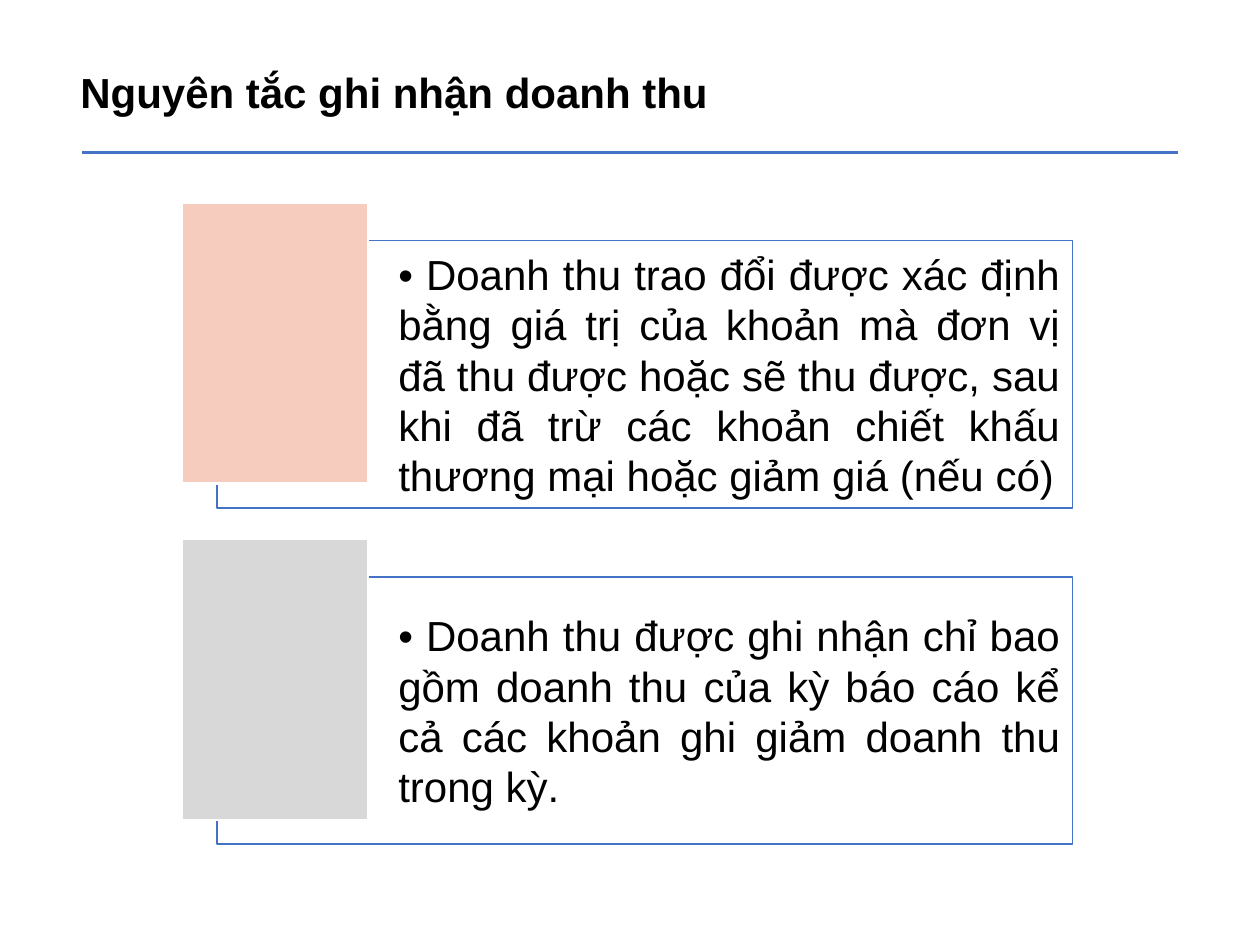
import dataclasses

import pptx
import pptx.dml.color
import pptx.enum.shapes
import pptx.enum.text
import pptx.oxml
import pptx.oxml.ns
import pptx.util
from pptx.util import Cm


@dataclasses.dataclass(frozen=True)
class Theme:
    font: str = "Arial"
    size: int = 24
    ink: str = "000000"
    paper: str = "FFFFFF"
    accent: str = "4472C4"
    peach: str = "F6CCBE"
    grey: str = "D8D8D8"
    rule_width: float = 1.5
    frame_width: float = 1


THEME = Theme()


def color(code):
    return pptx.dml.color.RGBColor.from_string(code)


def style_text(para, bold=False):
    for span in para.runs:
        span.font.name = THEME.font
        span.font.size = pptx.util.Pt(THEME.size)
        span.font.bold = bold
        span.font.color.rgb = color(THEME.ink)


def set_line(line, code, width):
    line.color.rgb = color(code)
    line.width = pptx.util.Pt(width)


def add_rectangle(page, left, top, width, height, fill, line, line_width):
    box = page.shapes.add_shape(
        pptx.enum.shapes.MSO_SHAPE.RECTANGLE, left, top, width, height)
    box.shadow.inherit = False
    box.fill.solid()
    box.fill.fore_color.rgb = color(fill)
    set_line(box.line, line, line_width)
    return box


def set_opacity(box, percent):
    fill = box.fill._xPr.find(pptx.oxml.ns.qn("a:solidFill"))
    alpha = pptx.oxml.parse_xml(
        f'<a:alpha {pptx.oxml.ns.nsdecls("a")} val="{percent * 1000}"/>')
    fill[0].append(alpha)


def add_heading(page, left, top, width, text):
    """Place the title and the rule below it; the rule spans the width."""
    box = page.shapes.add_textbox(left - Cm(0.28), top, Cm(13.51), Cm(1.27))
    frame = box.text_frame
    frame.word_wrap = True
    frame.auto_size = pptx.enum.text.MSO_AUTO_SIZE.SHAPE_TO_FIT_TEXT
    frame.text = text
    style_text(frame.paragraphs[0], bold=True)

    height = top + Cm(1.85)
    rule = page.shapes.add_connector(
        pptx.enum.shapes.MSO_CONNECTOR.STRAIGHT,
        left, height, left + width, height)
    set_line(rule.line, THEME.accent, THEME.rule_width)
    rule._element.spPr.append(pptx.oxml.parse_xml(
        f'<a:effectLst {pptx.oxml.ns.nsdecls("a")}/>'))


def add_principle(page, left, top, width, height, text, tile_color):
    """Place a framed statement with a colour tile over its upper left corner."""
    inset_x, inset_y = Cm(0.71), Cm(0.76)
    panel = add_rectangle(
        page, left + inset_x, top + inset_y, width - inset_x, height - inset_y,
        THEME.paper, THEME.accent, THEME.frame_width)
    set_opacity(panel, 40)

    frame = panel.text_frame
    frame.word_wrap = True
    frame.vertical_anchor = pptx.enum.text.MSO_ANCHOR.MIDDLE
    frame.margin_left = Cm(3.66)
    frame.margin_right = frame.margin_top = frame.margin_bottom = Cm(0.25)
    frame.text = text
    para = frame.paragraphs[0]
    para.alignment = pptx.enum.text.PP_ALIGN.JUSTIFY
    para.space_after = pptx.util.Pt(0.35 * THEME.size)
    style_text(para)

    add_rectangle(page, left, top, Cm(3.76), Cm(5.66),
                  tile_color, THEME.paper, THEME.rule_width)


def main():
    deck = pptx.Presentation()
    deck.slide_width, deck.slide_height = Cm(25.4), Cm(19.05)
    page = deck.slides.add_slide(deck.slide_layouts[6])

    add_heading(page, Cm(1.65), Cm(1.22), Cm(22.1),
                "Nguyên tắc ghi nhận doanh thu")

    principles = [
        ("• Doanh thu trao đổi được xác định bằng giá trị của khoản mà đơn vị "
         "đã thu được hoặc sẽ thu được, sau khi đã trừ các khoản chiết khấu "
         "thương mại hoặc giảm giá (nếu có)", THEME.peach),
        ("• Doanh thu được ghi nhận chỉ bao gồm doanh thu của kỳ báo cáo kể "
         "cả các khoản ghi giảm doanh thu trong kỳ.", THEME.grey),
    ]
    for index, (text, tile_color) in enumerate(principles):
        add_principle(page, Cm(3.66), Cm(4.09) + index * Cm(6.78),
                      Cm(17.96), Cm(6.15), text, tile_color)

    deck.save("out.pptx")


if __name__ == "__main__":
    main()
